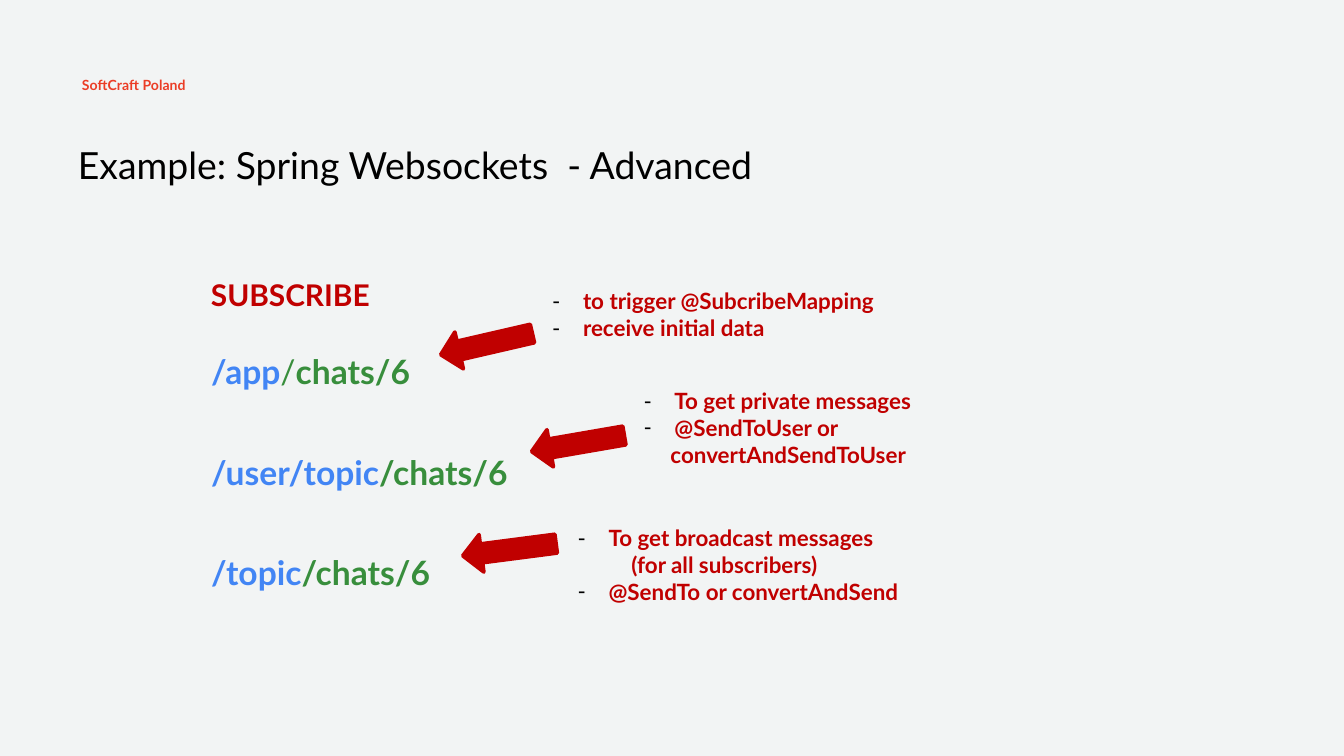
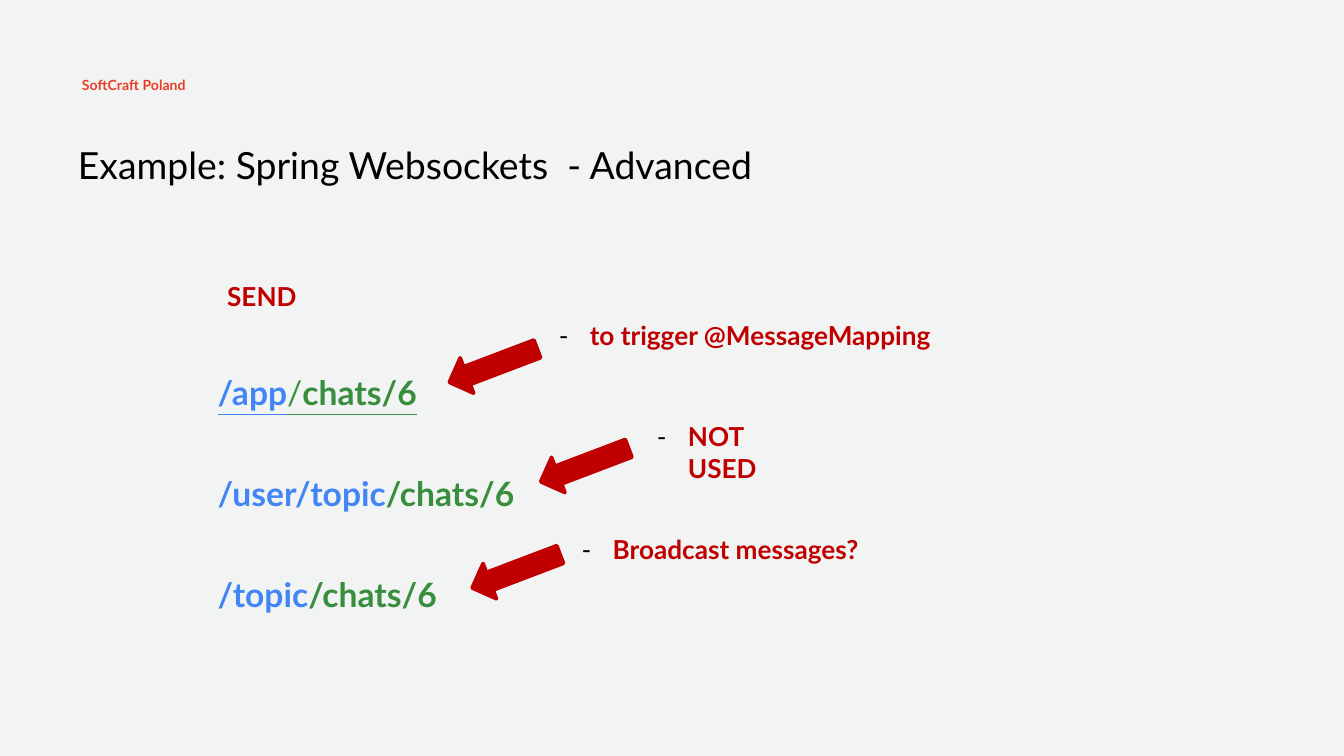
from typing import NamedTuple

import lxml.etree
import pptx
import pptx.dml.color
import pptx.enum.shapes
import pptx.enum.text
import pptx.oxml.ns
import pptx.presentation
import pptx.slide
import pptx.text.text
import pptx.util

Inches = pptx.util.Inches
Pt = pptx.util.Pt

COLORS = {
    "background": "F2F4F4",
    "title": "000000",
    "company": "EB3D26",
    "accent": "C00000",
    "prefix": "4285F4",
    "channel": "388E3C",
}
FONT = "Lato"
TITLE = "Example: Spring Websockets  - Advanced"
COMPANY = "SoftCraft Poland"
BULLET_INDENT = 0.23
ARROW_SIZE = (0.7, 0.28)
ARROW_POSITIONS = [(3.27, 2.42), (3.95, 3.16), (3.44, 3.95)]
DESTINATIONS_BOX = (1.57, 2.21, 2.38, 2.15)


class Box(NamedTuple):
    left: float
    top: float
    width: float
    height: float


class Segment(NamedTuple):
    text: str
    color: str
    bold: bool = True


class NoteLine(NamedTuple):
    text: str
    indent: float = BULLET_INDENT
    bulleted: bool = True


class Note(NamedTuple):
    box: Box
    lines: list[NoteLine]
    arrow_rotation: float


class Command(NamedTuple):
    name: str
    name_box: Box
    name_size: int
    note_size: int
    shift: tuple[float, float]
    underline_first: bool
    notes: list[Note]


DESTINATIONS = [
    [Segment("/app", "prefix"), Segment("/", "channel", False), Segment("chats/6", "channel")],
    [Segment("/user/topic", "prefix"), Segment("/chats/6", "channel")],
    [Segment("/topic", "prefix"), Segment("/chats/6", "channel")],
]

COMMANDS = [
    Command("SUBSCRIBE", Box(1.57, 1.71, 1.26, 0.56), 16, 12, (0, 0), False, [
        Note(Box(4.01, 2.09, 2.79, 0.5), [
            NoteLine("to trigger @SubcribeMapping"),
            NoteLine("receive initial data"),
        ], 167),
        Note(Box(4.69, 2.83, 2.35, 0.71), [
            NoteLine("To get private messages"),
            NoteLine("@SendToUser or"),
            NoteLine("convertAndSendToUser", 0.2, False),
        ], 170.2),
        Note(Box(4.2, 3.85, 2.75, 0.71), [
            NoteLine("To get broadcast messages"),
            NoteLine("(for all subscribers)", 0.4, False),
            NoteLine("@SendTo or convertAndSend"),
        ], 172.6),
    ]),
    Command("SEND", Box(1.69, 1.78, 0.52, 0.49), 14, 14, (0.05, 0.16), True, [
        Note(Box(4.06, 2.33, 3.15, 0.34), [NoteLine("to trigger @MessageMapping")], 159.2),
        Note(Box(4.79, 3.08, 1.4, 0.34), [NoteLine("NOT USED")], 159.2),
        Note(Box(4.23, 3.92, 2.48, 0.34), [NoteLine("Broadcast messages?")], 159.2),
    ]),
]


def rgb(name: str) -> pptx.dml.color.RGBColor:
    return pptx.dml.color.RGBColor.from_string(COLORS[name])


def style_font(font: pptx.text.text.Font, size: float, color: str, bold: bool) -> None:
    font.name = FONT
    font.size = Pt(size)
    font.bold = bold
    font.color.rgb = rgb(color)


def set_margins(frame: pptx.text.text.TextFrame, margin: float) -> None:
    frame.margin_left = frame.margin_right = Inches(margin)
    frame.margin_top = frame.margin_bottom = Inches(margin)


def add_text_frame(slide: pptx.slide.Slide, box: Box, wrap: bool) -> pptx.text.text.TextFrame:
    frame = slide.shapes.add_textbox(*map(Inches, box)).text_frame
    frame.word_wrap = wrap
    frame.auto_size = pptx.enum.text.MSO_AUTO_SIZE.SHAPE_TO_FIT_TEXT
    return frame


def add_paragraph(frame: pptx.text.text.TextFrame, index: int) -> pptx.text.text._Paragraph:
    return frame.paragraphs[0] if index == 0 else frame.add_paragraph()


def add_spaced_frame(slide: pptx.slide.Slide, box: Box) -> pptx.text.text.TextFrame:
    frame = add_text_frame(slide, box, False)
    set_margins(frame, 0)
    frame.vertical_anchor = pptx.enum.text.MSO_ANCHOR.MIDDLE
    return frame


def add_heading(slide: pptx.slide.Slide) -> None:
    title = slide.shapes.title
    title.left, title.top = Inches(0.48), Inches(0.96)
    title.width, title.height = Inches(6.99), Inches(0.63)
    frame = title.text_frame
    frame.text = TITLE
    frame.auto_size = pptx.enum.text.MSO_AUTO_SIZE.NONE
    frame.vertical_anchor = pptx.enum.text.MSO_ANCHOR.TOP
    set_margins(frame, 0.1)
    paragraph = frame.paragraphs[0]
    paragraph.alignment = pptx.enum.text.PP_ALIGN.LEFT
    style_font(paragraph.font, 20, "title", False)

    company = add_text_frame(slide, Box(0.61, 0.56, 1.31, 0.13), True)
    set_margins(company, 0)
    company.margin_top = Inches(0.01)
    company.text = COMPANY
    style_font(company.paragraphs[0].font, 7.5, "company", True)


def add_command_name(slide: pptx.slide.Slide, command: Command) -> None:
    frame = add_spaced_frame(slide, command.name_box)
    frame.text = command.name
    paragraph = frame.paragraphs[0]
    paragraph.line_spacing = 2.5
    style_font(paragraph.font, command.name_size, "accent", True)


def add_destinations(slide: pptx.slide.Slide, command: Command) -> None:
    left, top, width, height = DESTINATIONS_BOX
    shift_x, shift_y = command.shift
    frame = add_spaced_frame(slide, Box(left + shift_x, top + shift_y, width, height))
    for index, segments in enumerate(DESTINATIONS):
        paragraph = add_paragraph(frame, index)
        paragraph.line_spacing = 2.5
        for segment in segments:
            run = paragraph.add_run()
            run.text = segment.text
            style_font(run.font, 18, segment.color, segment.bold)
            if command.underline_first and index == 0:
                run.font.underline = True


def add_arrow(slide: pptx.slide.Slide, left: float, top: float, rotation: float) -> None:
    arrow = slide.shapes.add_shape(
        pptx.enum.shapes.MSO_SHAPE.RIGHT_ARROW,
        Inches(left), Inches(top), *map(Inches, ARROW_SIZE),
    )
    arrow.rotation = rotation
    arrow.shadow.inherit = False
    arrow.fill.solid()
    arrow.fill.fore_color.rgb = rgb("accent")
    arrow.line.color.rgb = rgb("accent")
    arrow.line.width = Pt(2)


def set_indent(paragraph: pptx.text.text._Paragraph, line: NoteLine) -> None:
    properties = paragraph._p.get_or_add_pPr()
    properties.set("marL", str(Inches(line.indent)))
    if not line.bulleted:
        properties.set("indent", "0")
        return
    properties.set("indent", str(-Inches(line.indent)))
    qualified = pptx.oxml.ns.qn
    bullet_color = lxml.etree.SubElement(properties, qualified("a:buClr"))
    lxml.etree.SubElement(bullet_color, qualified("a:srgbClr"), val=COLORS["title"])
    lxml.etree.SubElement(properties, qualified("a:buFont"), typeface=FONT)
    lxml.etree.SubElement(properties, qualified("a:buChar"), char="-")


def add_note(slide: pptx.slide.Slide, note: Note, size: int) -> None:
    frame = add_text_frame(slide, note.box, True)
    for index, line in enumerate(note.lines):
        paragraph = add_paragraph(frame, index)
        paragraph.text = line.text
        set_indent(paragraph, line)
        style_font(paragraph.font, size, "accent", True)


def add_command_slide(presentation: pptx.presentation.Presentation, command: Command) -> None:
    slide = presentation.slides.add_slide(presentation.slide_layouts.get_by_name("Title Only"))
    add_heading(slide)
    add_command_name(slide, command)
    add_destinations(slide, command)
    shift_x, shift_y = command.shift
    for note, (left, top) in zip(command.notes, ARROW_POSITIONS):
        add_arrow(slide, left + shift_x, top + shift_y, note.arrow_rotation)
        add_note(slide, note, command.note_size)


def main() -> None:
    presentation = pptx.Presentation()
    presentation.slide_width = Inches(10)
    presentation.slide_height = Inches(10 * 9 / 16)
    background = presentation.slide_master.background.fill
    background.solid()
    background.fore_color.rgb = rgb("background")
    for command in COMMANDS:
        add_command_slide(presentation, command)
    presentation.save("out.pptx")


if __name__ == "__main__":
    main()
